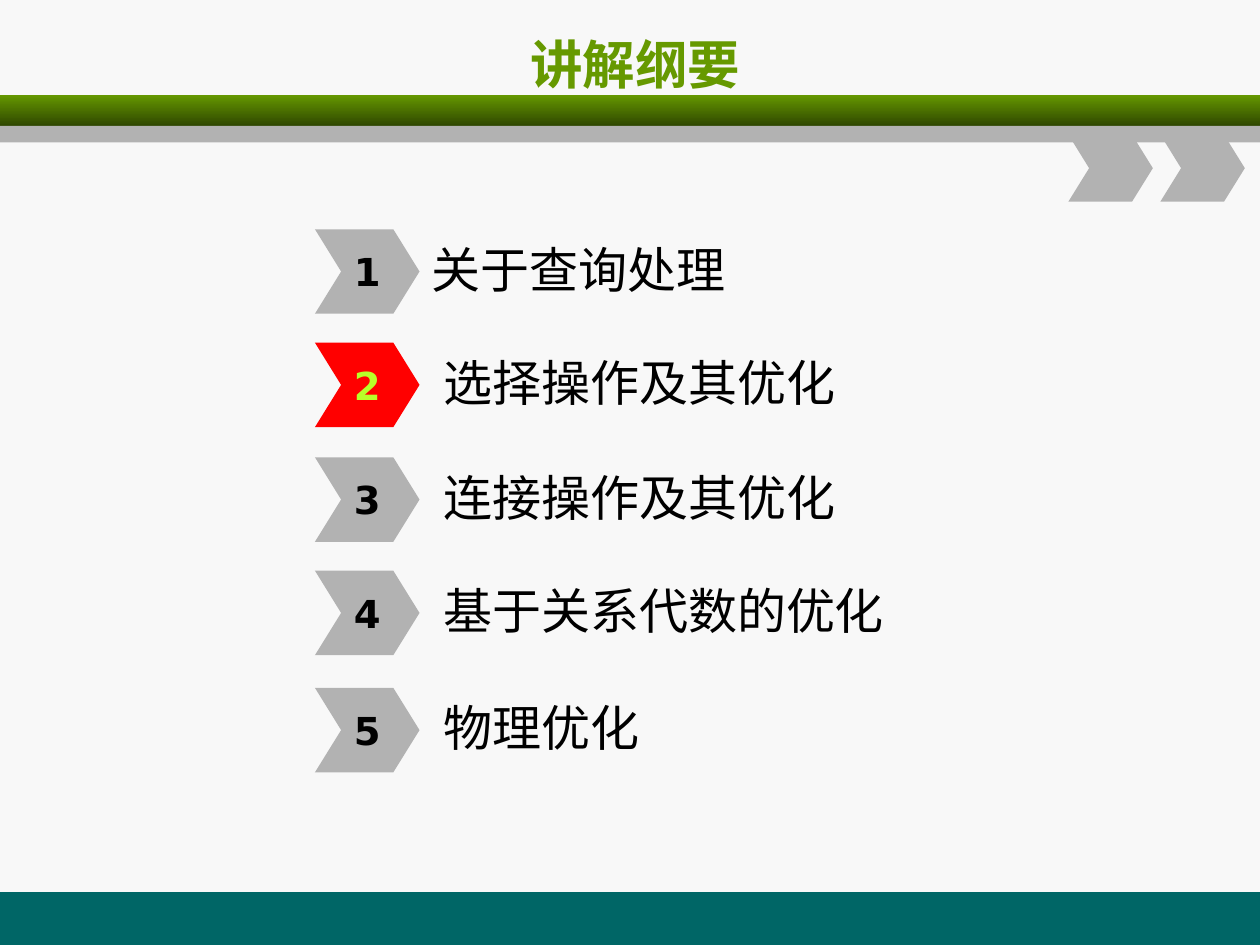
from lxml import etree
from pptx import Presentation
from pptx.dml.color import RGBColor
from pptx.enum import shapes, text
from pptx.oxml import ns
from pptx.util import Inches, Pt

GREY, GREEN, BLACK = "B2B2B2", "669900", "000000"
KIND = shapes.MSO_SHAPE
ROWS = [
    (1.82, "关于查询处理", 0),
    (2.72, "选择操作及其优化", 0.09),
    (3.63, "连接操作及其优化", 0.09),
    (4.53, "基于关系代数的优化", 0.09),
    (5.46, "物理优化", 0.09),
]
ACTIVE = 2


def color(code):
    return RGBColor.from_string(code)


def write(shape, words, size, face, ink, bold=False, align="LEFT", pad=0.1):
    frame = shape.text_frame
    form = {
        "word_wrap": True,
        "auto_size": text.MSO_AUTO_SIZE.NONE,
        "vertical_anchor": text.MSO_ANCHOR.MIDDLE,
        "margin_left": Inches(pad),
    }
    for key, value in form.items():
        setattr(frame, key, value)
    para = frame.paragraphs[0]
    para.alignment = getattr(text.PP_ALIGN, align)
    run = para.add_run()
    run.text = words
    for key, value in {"size": Pt(size), "name": face, "bold": bold}.items():
        setattr(run.font, key, value)
    run.font.color.rgb = color(ink)
    props = run._r.get_or_add_rPr()
    etree.SubElement(props, ns.qn("a:ea"), typeface=face)


def block(slide, kind, box, fill):
    shape = slide.shapes.add_shape(kind, *map(Inches, box))
    shape.shadow.inherit = False
    shape.line.fill.background()
    shape.fill.solid()
    shape.fill.fore_color.rgb = color(fill)
    if kind == KIND.CHEVRON:
        shape.adjustments[0] = 0.31
    return shape


def frame(slide):
    block(slide, KIND.RECTANGLE, (0, 7.08, 10, 0.42), "006666")
    bar = block(slide, KIND.RECTANGLE, (0, 0.75, 10, 0.25), GREEN)
    bar.fill.gradient()
    bar.fill.gradient_angle = 270
    for stop, code in zip(bar.fill.gradient_stops, (GREEN, "2F4700")):
        stop.color.rgb = color(code)
    block(slide, KIND.RECTANGLE, (0, 1, 10, 0.13), GREY)
    for left in (8.48, 9.21):
        block(slide, KIND.CHEVRON, (left, 1.07, 0.67, 0.53), GREY)


def head(slide, words):
    title = slide.shapes.title
    box = map(Inches, (0.54, 0.17, 9, 0.67))
    for key, value in zip(("left", "top", "width", "height"), box):
        setattr(title, key, value)
    write(title, words, 30, "DejaVu Sans", GREEN, True, "CENTER")


def row(slide, num, top, words, shift):
    fill, ink = ("FF0000", "B8FF29") if num == ACTIVE else (GREY, BLACK)
    mark = block(slide, KIND.CHEVRON, (2.5, top, 0.83, 0.67), fill)
    write(mark, str(num), 22, "DejaVu Sans", ink, True, "CENTER")
    box = map(Inches, (3.33, top + 0.02, 5.92, 0.58))
    label = slide.shapes.add_textbox(*box)
    write(label, words, 28, "Noto Sans CJK SC", BLACK, pad=0.1 + shift)


def main():
    deck = Presentation()
    deck.slide_width, deck.slide_height = Inches(10), Inches(7.5)
    slide = deck.slides.add_slide(deck.slide_layouts[5])
    slide.background.fill.solid()
    slide.background.fill.fore_color.rgb = color("F8F8F8")
    frame(slide)
    head(slide, "讲解纲要")
    for num, item in enumerate(ROWS, 1):
        row(slide, num, *item)
    deck.save("out.pptx")


if __name__ == "__main__":
    main()
